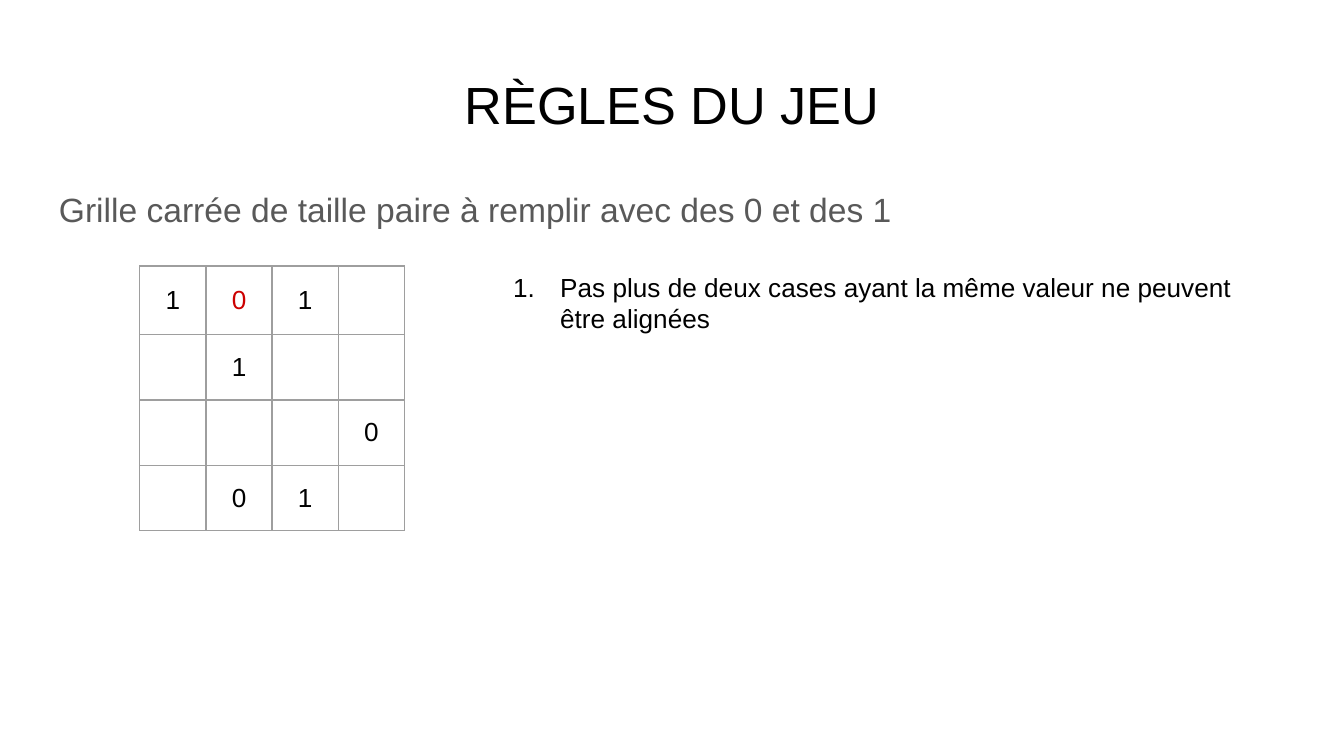
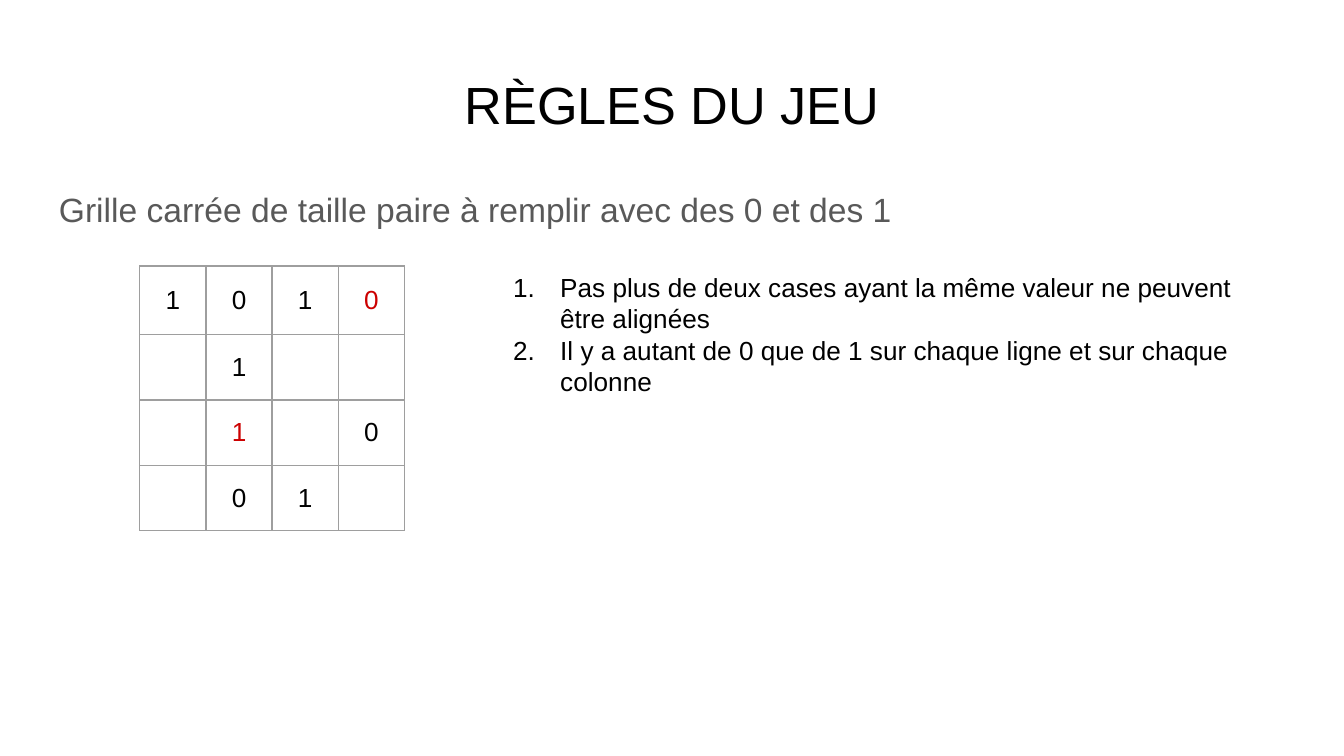
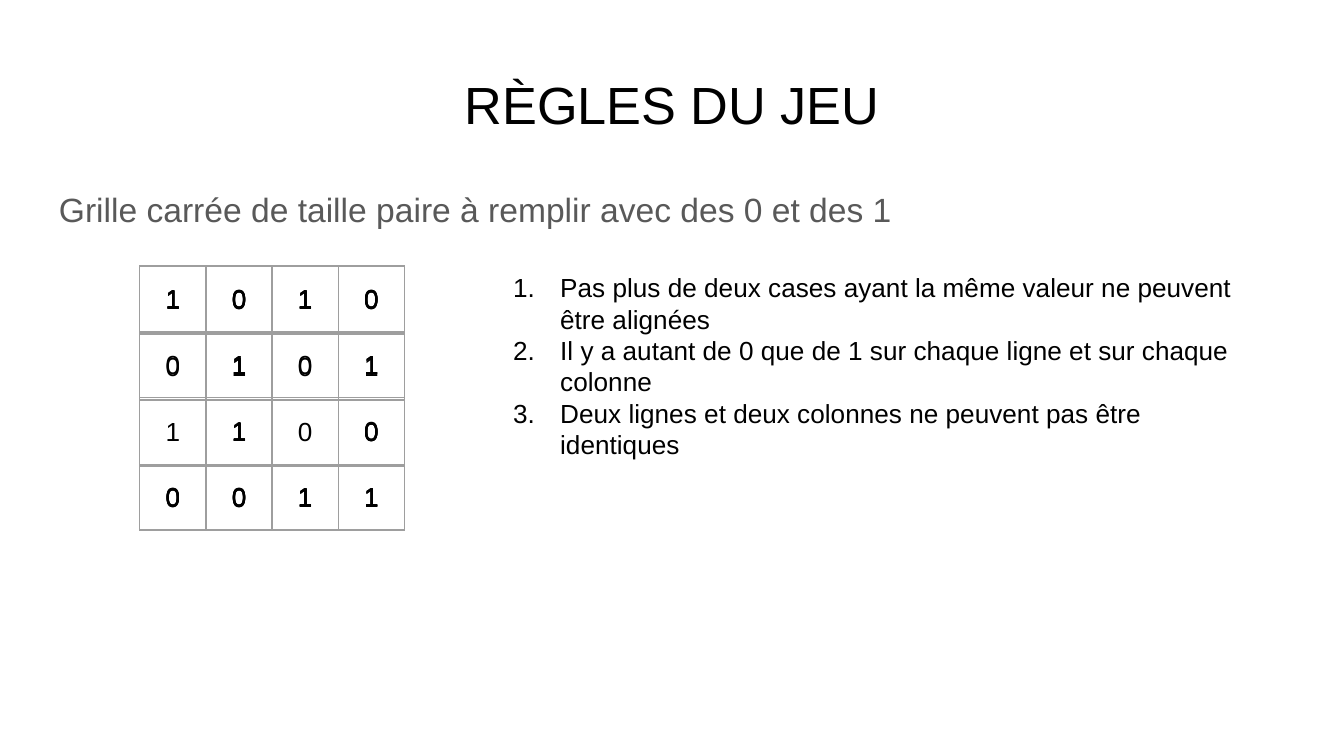
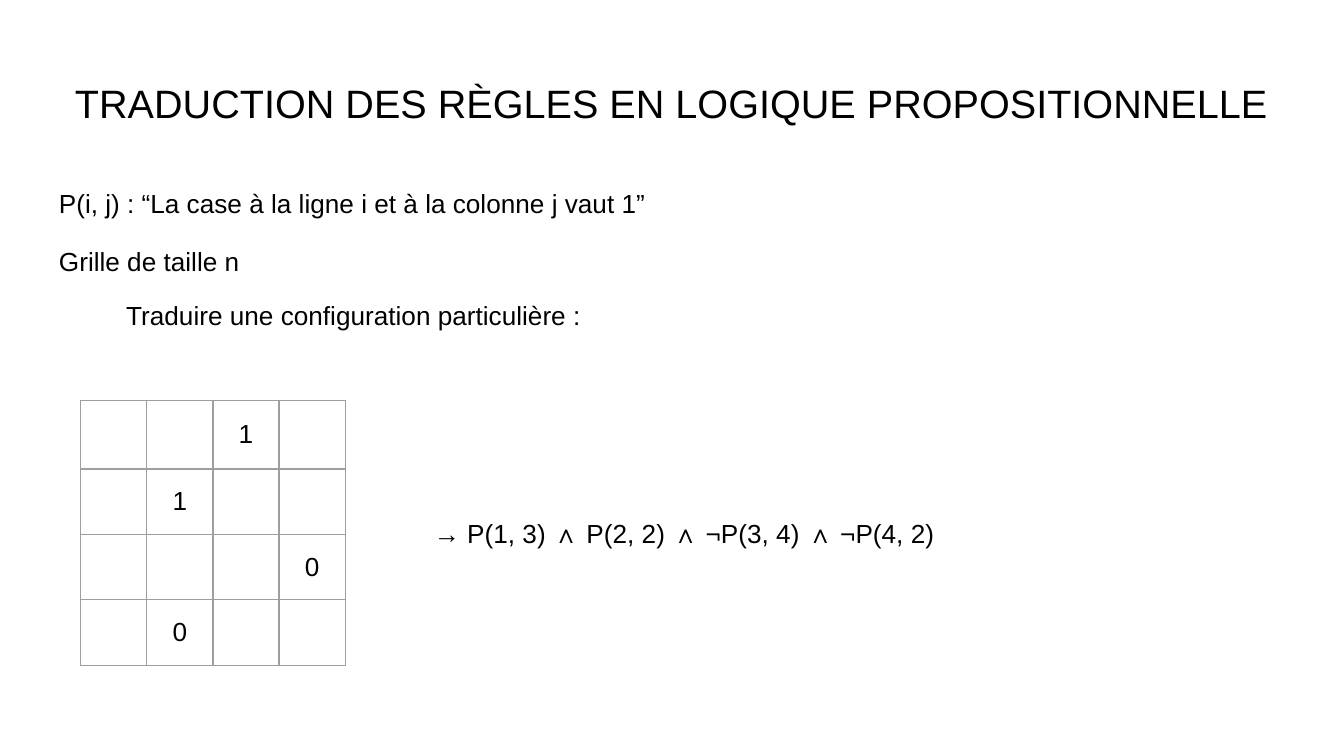
import pptx
import pptx.util
import pptx.dml.color
import pptx.enum.text
import pptx.oxml
import pptx.oxml.ns

# Shared look
WIDTH = 10
HEIGHT = WIDTH * 9 / 16
MARGIN = 0.34
BAND = (WIDTH - 2 * MARGIN, 0.63)
TITLE_TOP, BODY_TOP = 0.49, 1.26
GRID_SIDE = 1.97
FONT, BLACK, GREY, RED, RULE_GREY = "Arial", "000000", "595959", "CC0000", "9E9E9E"
CENTER = pptx.enum.text.PP_ALIGN.CENTER
LEFT = pptx.enum.text.PP_ALIGN.LEFT
INCH = pptx.util.Inches

# Content: "." is an empty cell, "*" marks a digit that was just deduced
RULES_TITLE = "RÈGLES DU JEU"
GOAL = "Grille carrée de taille paire à remplir avec des 0 et des 1"
RULES = [
    "Pas plus de deux cases ayant la même valeur ne peuvent être alignées",
    "Il y a autant de 0 que de 1 sur chaque ligne et sur chaque colonne",
    "Deux lignes et deux colonnes ne peuvent pas être identiques",
]
FIRST_ROW = 0.51
EVEN_ROWS = [FIRST_ROW] + [(GRID_SIDE - FIRST_ROW) / 3] * 3
# One entry per rules slide: its grids, laid over one another, with row heights
RULE_STEPS = [
    [("1 0* 1 . / . 1 . . / . . . 0 / . 0 1 .", EVEN_ROWS)],
    [("1 0 1 0* / . 1 . . / . 1* . 0 / . 0 1 .", EVEN_ROWS)],
    [
        ("1 0 1 0 / . 1 . . / . 1 . 0 / 0 0 1 1", EVEN_ROWS),
        ("1 0 1 0 / . 1 . 1 / . 1 . 0 / 0 0 1 1", [0.49, 0.5, 0.5, 0.47]),
        ("1 0 1 0 / 0 1 0 1 / . 1 . 0 / 0 0 1 1", [0.5, 0.48, 0.5, 0.48]),
        ("1 0 1 0 / 0 1 0 1 / 1 1 0 0 / 0 0 1 1", EVEN_ROWS),
    ],
]
LOGIC_TITLE = "TRADUCTION DES RÈGLES EN LOGIQUE PROPOSITIONNELLE"
LOGIC_LINES = [
    ("P(i, j) : “La case à la ligne i et à la colonne j vaut 1”",
     dict(line=1.15)),
    ("Grille de taille n", dict(line=1.15, before=12)),
    ("Traduire une configuration particulière :", dict(before=12, left=0.5)),
]
LOGIC_GRID = ". . 1 . / . 1 . . / . . . 0 / . 0 . ."
FORMULA = "→ P(1, 3) ∧ P(2, 2) ∧ ¬P(3, 4) ∧ ¬P(4, 2)"


def color(code):
    return pptx.dml.color.RGBColor.from_string(code)


def xml(tag, inner="", **attributes):
    listed = "".join(f' {key}="{value}"' for key, value in attributes.items())
    namespace = pptx.oxml.ns.nsdecls("a")
    return pptx.oxml.parse_xml(f"<a:{tag} {namespace}{listed}>{inner}</a:{tag}>")


def write(paragraph, text, size=14, ink=BLACK, align=LEFT, line=None,
          before=0, after=0, left=0, numbered=False):
    """Fill one paragraph and format it."""
    properties = paragraph._p.get_or_add_pPr()
    properties.set("marL", str(INCH(left)))
    properties.set("indent", str(INCH(-0.35 if numbered else 0)))
    if numbered:
        properties.append(xml("buClr", f'<a:srgbClr val="{ink}"/>'))
        properties.append(xml("buFont", typeface=FONT))
        properties.append(xml("buAutoNum", type="arabicPeriod"))
    paragraph.alignment = align
    paragraph.space_before = pptx.util.Pt(before)
    paragraph.space_after = pptx.util.Pt(after)
    if line:
        paragraph.line_spacing = line
    run = paragraph.add_run()
    run.text = text
    run.font.size = pptx.util.Pt(size)
    run.font.name = FONT
    run.font.color.rgb = color(ink)


def fill_frame(frame, lines):
    """Write (text, format) pairs as the paragraphs of a frame."""
    frame.word_wrap = True
    frame.auto_size = pptx.enum.text.MSO_AUTO_SIZE.NONE
    frame.vertical_anchor = pptx.enum.text.MSO_ANCHOR.TOP
    frame.margin_left = frame.margin_right = INCH(0.1)
    frame.margin_top = frame.margin_bottom = INCH(0.1)
    for index, (text, style) in enumerate(lines):
        paragraph = frame.add_paragraph() if index else frame.paragraphs[0]
        write(paragraph, text, **style)


def add_text(slide, left, top, width, height, lines):
    box = slide.shapes.add_textbox(*map(INCH, (left, top, width, height)))
    fill_frame(box.text_frame, lines)


def add_titled_slide(deck, text, **style):
    slide = deck.slides.add_slide(deck.slide_layouts[5])
    title = slide.shapes.title
    title.left, title.top = INCH(MARGIN), INCH(TITLE_TOP)
    title.width, title.height = map(INCH, BAND)
    fill_frame(title.text_frame, [(text, dict(align=CENTER, **style))])
    return slide


def add_grid(slide, left, top, digits, row_heights=EVEN_ROWS):
    rows = [row.split() for row in digits.split("/")]
    size = len(rows)
    frame = slide.shapes.add_table(
        size, size, INCH(left), INCH(top), INCH(GRID_SIDE), INCH(GRID_SIDE))
    grid = frame.table
    grid.first_row = grid.horz_banding = False
    for column in grid.columns:
        column.width = INCH(GRID_SIDE / size)
    for r, row in enumerate(rows):
        grid.rows[r].height = INCH(row_heights[r])
        for c, digit in enumerate(row):
            cell = grid.cell(r, c)
            cell.vertical_anchor = pptx.enum.text.MSO_ANCHOR.MIDDLE
            for side in ("lnL", "lnR", "lnT", "lnB"):
                cell._tc.get_or_add_tcPr().append(xml(
                    side,
                    f'<a:solidFill><a:srgbClr val="{RULE_GREY}"/></a:solidFill>',
                    w=pptx.util.Pt(0.75)))
            cell.fill.background()
            if digit != ".":
                write(cell.text_frame.paragraphs[0], digit[0], align=CENTER,
                      ink=RED if digit.endswith("*") else BLACK)
    frame.height = INCH(GRID_SIDE)


def main():
    deck = pptx.Presentation()
    deck.slide_width, deck.slide_height = INCH(WIDTH), INCH(HEIGHT)

    # Rules, one more on each slide
    for count, grids in enumerate(RULE_STEPS, start=1):
        slide = add_titled_slide(deck, RULES_TITLE, size=28, line=0.9)
        add_text(slide, MARGIN, BODY_TOP, *BAND,
                 [(GOAL, dict(size=18, ink=GREY, line=1.15, after=12))])
        first, *later = grids
        add_grid(slide, 1.04, 1.98, *first)
        add_text(slide, 3.57, 1.92, 5.7, 0.2 + 0.47 * count,
                 [(rule, dict(left=0.5, numbered=True)) for rule in RULES[:count]])
        for grid in later:
            add_grid(slide, 1.04, 1.98, *grid)

    # Translation into propositional logic
    slide = add_titled_slide(deck, LOGIC_TITLE, size=21.2)
    add_text(slide, MARGIN, BODY_TOP, BAND[0], 1.87, LOGIC_LINES)
    add_grid(slide, 0.6, 2.98, LOGIC_GRID)
    add_text(slide, 3.13, 3.75, 4, 0.43, [(FORMULA, {})])

    deck.save("out.pptx")


if __name__ == "__main__":
    main()
